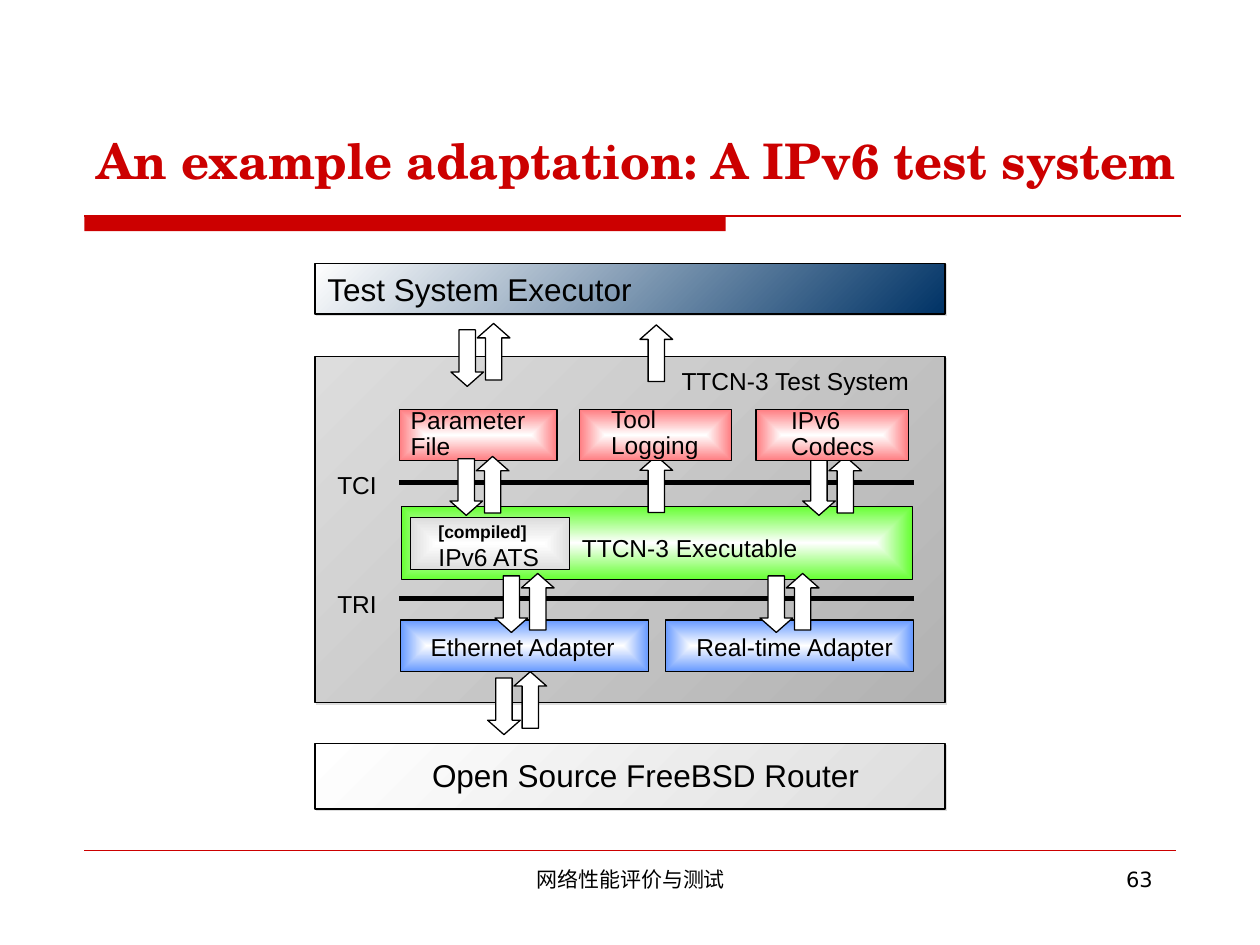
"""Builds the slide on an example IPv6 test system adaptation."""
from dataclasses import dataclass

from lxml.etree import SubElement
from pptx import Presentation
from pptx.dml.color import RGBColor
from pptx.enum.shapes import MSO_CONNECTOR, MSO_SHAPE
from pptx.enum.text import MSO_ANCHOR as Anchor, MSO_AUTO_SIZE as AutoSize, PP_ALIGN as Align
from pptx.oxml.ns import qn
from pptx.util import Cm, Pt

RED, BLACK, WHITE, SILVER = "CC0000", "000000", "FFFFFF", "DDDDDD"
PINK, GREEN, BLUE = "FF7C80", "66FF33", "6699FF"


@dataclass
class Panel:
    left: float
    top: float
    width: float
    height: float
    start: str
    end: str
    text: str = ""


@dataclass
class Block:
    left: float
    top: float
    width: float
    height: float
    edge: str


@dataclass
class Label:
    text: str
    left: float
    top: float
    width: float
    height: float = 0.84
    size: float = 14
    font: str = "Arial"
    color: str = BLACK
    bold: bool = False
    align: Align = Align.LEFT
    anchor: Anchor = Anchor.TOP
    spacing: float = 1.0
    wrap: bool = False


@dataclass
class Exchange:
    left: float
    top: float
    lift: float = 0.05


PANELS = [
    Panel(6.35, 7.19, 12.7, 6.98, SILVER, "B2B2B2"),
    Panel(6.35, 5.31, 12.7, 1.02, WHITE, "003366", "Test System Executor"),
    Panel(6.35, 14.99, 12.7, 1.32, WHITE, SILVER),
]
BACK_BLOCKS = [
    Block(8.05, 8.25, 3.18, 1.04, PINK),
    Block(8.1, 10.21, 10.29, 1.47, GREEN),
    Block(8.08, 12.5, 5, 1.04, BLUE),
    Block(13.41, 12.5, 5, 1.04, BLUE),
]
FRONT_BLOCKS = [
    Block(8.28, 10.44, 3.2, 1.04, SILVER),
    Block(11.68, 8.25, 3.07, 1.04, PINK),
    Block(15.24, 8.25, 3.07, 1.04, PINK),
]
EXCHANGES = [
    Exchange(9.83, 13.67, 0.13),
    Exchange(9.09, 6.65, 0.13),
    Exchange(9.07, 9.25),
    Exchange(9.98, 11.61),
    Exchange(15.32, 11.61),
    Exchange(16.18, 9.25),
]
REPORTS = [(12.9, 6.55), (12.9, 9.19)]
INTERFACES = [9.73, 12.06]
LABELS = [
    Label("An example adaptation: A IPv6 test system", 1.7, 2.32, 23.09, 1.8, 28,
          "TeX Gyre Schola", RED, True, anchor=Anchor.MIDDLE, wrap=True),
    Label("网络性能评价与测试", 8.69, 17.35, 8.05, 1.27, 12, "DejaVu Sans",
          align=Align.CENTER, wrap=True),
    Label("63", 18.21, 17.35, 5.28, 1.27, 12, "DejaVu Sans", align=Align.RIGHT, wrap=True),
    Label("TTCN-3 Test System", 13.49, 7.26, 5.16),
    Label("Parameter\vFile", 8.03, 8.1, 2.85, 1.32, spacing=0.9),
    Label("Tool\vLogging", 12.07, 8.08, 2.4, 1.32, spacing=0.9),
    Label("IPv6\vCodecs", 15.7, 8.1, 2.25, 1.32, spacing=0.9),
    Label("TCI", 6.55, 9.35, 1.35),
    Label("TTCN-3 Executable", 11.48, 10.62, 4.9),
    Label("TRI", 6.55, 11.75, 1.35),
    Label("Ethernet Adapter", 8.43, 12.62, 4.3),
    Label("Real-time Adapter", 13.79, 12.62, 4.55),
    Label("Open Source FreeBSD Router", 8.46, 15.11, 9.15, 1.02, 18),
]
COMPILED = Label("[compiled]\nIPv6 ATS", 8.59, 10.38, 2.65, 1.27)


def rgb(value: str) -> RGBColor:
    return RGBColor.from_string(value)


def style_font(font, size: float, name: str, color: str, bold: bool) -> None:
    font.size, font.name, font.bold = Pt(size), name, bold
    font.color.rgb = rgb(color)


def add_outlined(slide, kind, left: float, top: float, width: float, height: float):
    shape = slide.shapes.add_shape(kind, Cm(left), Cm(top), Cm(width), Cm(height))
    shape.shadow.inherit = False
    shape.line.color.rgb = rgb(BLACK)
    shape.line.width = Pt(0.75)
    return shape


def fill_gradient(shape, start: str, end: str) -> None:
    shape.fill.gradient()
    shape.fill.gradient_angle = 315
    for stop, color, position in zip(shape.fill.gradient_stops, (start, end), (0, 1)):
        stop.color.rgb = rgb(color)
        stop.position = position


def add_panel(slide, panel: Panel) -> None:
    shape = add_outlined(slide, MSO_SHAPE.RECTANGLE, panel.left, panel.top,
                         panel.width, panel.height)
    fill_gradient(shape, panel.start, panel.end)
    effects = shape._element.spPr.find(qn("a:effectLst"))
    shadow = SubElement(effects, qn("a:outerShdw"), dist=str(Pt(1.4)), dir="2700000")
    SubElement(shadow, qn("a:srgbClr"), val=SILVER)
    if panel.text:
        frame = shape.text_frame
        frame.text = panel.text
        frame.vertical_anchor = Anchor.MIDDLE
        frame.paragraphs[0].alignment = Align.LEFT
        style_font(frame.paragraphs[0].runs[0].font, 18, "Arial", BLACK, False)


def add_block(slide, block: Block) -> None:
    shape = add_outlined(slide, MSO_SHAPE.RECTANGLE, block.left, block.top,
                         block.width, block.height)
    fill_gradient(shape, WHITE, block.edge)
    gradient = shape._element.spPr.find(qn("a:gradFill"))
    gradient.remove(gradient.find(qn("a:lin")))
    path = SubElement(gradient, qn("a:path"), path="rect")
    SubElement(path, qn("a:fillToRect"), l="50000", t="50000", r="50000", b="50000")


def add_arrow(slide, left: float, top: float, upward: bool) -> None:
    arrow = add_outlined(slide, MSO_SHAPE.DOWN_ARROW, left, top, 0.66, 1.14)
    arrow.fill.solid()
    arrow.fill.fore_color.rgb = rgb(WHITE)
    arrow.adjustments[0], arrow.adjustments[1] = 0.5, 0.44
    arrow.rotation = 180 if upward else 0


def add_exchange(slide, exchange: Exchange) -> None:
    add_arrow(slide, exchange.left, exchange.top, False)
    add_arrow(slide, exchange.left + 0.53, exchange.top - exchange.lift, True)


def add_rule(slide, left: float, right: float, y: float, color: str, width: float) -> None:
    rule = slide.shapes.add_connector(MSO_CONNECTOR.STRAIGHT, Cm(left), Cm(y), Cm(right), Cm(y))
    rule.line.color.rgb = rgb(color)
    rule.line.width = Pt(width)
    SubElement(rule._element.spPr, qn("a:effectLst"))


def add_label(slide, label: Label):
    frame = slide.shapes.add_textbox(Cm(label.left), Cm(label.top), Cm(label.width),
                                     Cm(label.height)).text_frame
    frame.text = label.text
    frame.word_wrap = label.wrap
    frame.auto_size = AutoSize.NONE if label.wrap else AutoSize.SHAPE_TO_FIT_TEXT
    frame.vertical_anchor = label.anchor
    for paragraph in frame.paragraphs:
        paragraph.alignment = label.align
        paragraph.line_spacing = label.spacing
        for run in paragraph.runs:
            style_font(run.font, label.size, label.font, label.color, label.bold)
    return frame


def main() -> None:
    deck = Presentation()
    deck.slide_width, deck.slide_height = Cm(25.4), Cm(19.05)
    slide = deck.slides.add_slide(deck.slide_layouts[6])

    title_bar = slide.shapes.add_shape(MSO_SHAPE.RECTANGLE, Cm(1.7), Cm(4.34), Cm(12.93), Cm(0.32))
    title_bar.shadow.inherit = False
    title_bar.fill.solid()
    title_bar.fill.fore_color.rgb = rgb(RED)
    title_bar.line.fill.background()
    add_rule(slide, 1.7, 23.8, 4.35, RED, 1)
    add_rule(slide, 1.7, 23.7, 17.15, RED, 0.25)

    for panel in PANELS:
        add_panel(slide, panel)
    for block in BACK_BLOCKS:
        add_block(slide, block)
    for y in INTERFACES:
        add_rule(slide, 8.05, 18.42, y, BLACK, 3)
    for exchange in EXCHANGES:
        add_exchange(slide, exchange)
    for left, top in REPORTS:
        add_arrow(slide, left, top, True)
    for block in FRONT_BLOCKS:
        add_block(slide, block)
    for label in LABELS:
        add_label(slide, label)
    compiled = add_label(slide, COMPILED).paragraphs[0].runs[0]
    style_font(compiled.font, 10, "Arial", BLACK, True)

    deck.save("out.pptx")


if __name__ == "__main__":
    main()
